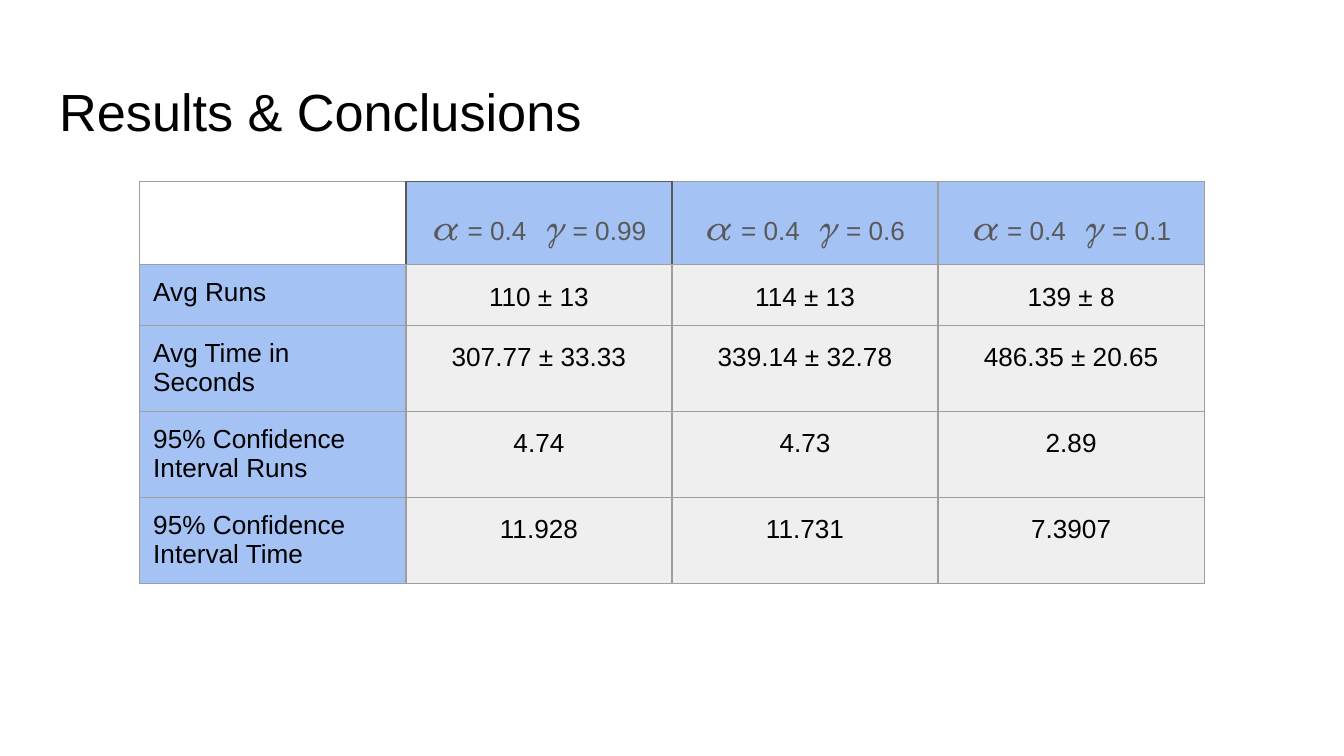
"""Builds a results slide with a title and a bordered table."""
import pptx
import pptx.dml.color
import pptx.enum.text
import pptx.oxml
import pptx.oxml.ns
import pptx.util

Inches = pptx.util.Inches
Pt = pptx.util.Pt
ALIGN = pptx.enum.text.PP_ALIGN
ANCHOR = pptx.enum.text.MSO_ANCHOR

TITLE = "Results & Conclusions"
GAMMAS = ["0.99", "0.6", "0.1"]
ROWS = [
    ("Avg Runs", "110 ± 13", "114 ± 13", "139 ± 8"),
    ("Avg Time in Seconds", "307.77 ± 33.33", "339.14 ± 32.78", "486.35 ± 20.65"),
    ("95% Confidence Interval Runs", "4.74", "4.73", "2.89"),
    ("95% Confidence Interval Time", "11.928", "11.731", "7.3907"),
]
HEIGHTS = [0.62, 0.45, 0.64, 0.64, 0.64]
WIDTH = 1.98
BLACK, DARK, GREY = "000000", "595959", "9E9E9E"
BLUE, PALE = "A4C2F4", "EFEFEF"


def color(text):
    return pptx.dml.color.RGBColor.from_string(text)


def style(run, size, shade, font="Arial", slant=False):
    run.font.size = Pt(size)
    run.font.name = font
    run.font.italic = slant
    run.font.color.rgb = color(shade)


def border(cell, shades):
    space = pptx.oxml.ns.nsdecls("a")
    for side, shade in zip("LRTB", shades):
        cell._tc.get_or_add_tcPr().append(pptx.oxml.parse_xml(
            f'<a:ln{side} {space} w="{Pt(0.75)}"><a:solidFill>'
            f'<a:srgbClr val="{shade}"/></a:solidFill></a:ln{side}>'))


def edges(row, col):
    if row:
        return [GREY] * 4
    return [DARK if col in (1, 2) else GREY, DARK if col in (0, 1) else GREY,
            DARK if col == 1 else GREY, GREY]


def header(para, gamma):
    parts = [("α ", True), ("= 0.4 ", False), (" γ ", True), (f"= {gamma}", False)]
    for text, symbol in parts:
        run = para.add_run()
        run.text = text
        if symbol:
            style(run, 18, DARK, "TeX Gyre Schola", True)
        else:
            style(run, 14, DARK)


def inset(item):
    item.margin_left = item.margin_right = Inches(0.1)
    item.margin_top = item.margin_bottom = Inches(0.1)
    item.vertical_anchor = ANCHOR.TOP


def fill(cell, row, col):
    inset(cell)
    border(cell, edges(row, col))
    para = cell.text_frame.paragraphs[0]
    if row == col == 0:
        cell.fill.background()
        return
    cell.fill.solid()
    cell.fill.fore_color.rgb = color(PALE if row and col else BLUE)
    if col:
        para.alignment = ALIGN.CENTER
        para.line_spacing = 1.15
    if row:
        para.text = ROWS[row - 1][col]
        style(para.runs[0], 14, BLACK)
    else:
        header(para, GAMMAS[col - 1])


def main():
    deck = pptx.Presentation()
    deck.slide_width = Inches(10)
    deck.slide_height = deck.slide_width * 9 // 16
    slide = deck.slides.add_slide(deck.slide_layouts[5])

    title = slide.shapes.title
    title.left, title.top = Inches(0.34), Inches(0.49)
    title.width, title.height = Inches(9.32), Inches(0.63)
    frame = title.text_frame
    frame.text = TITLE
    inset(frame)
    frame.auto_size = pptx.enum.text.MSO_AUTO_SIZE.NONE
    frame.paragraphs[0].alignment = ALIGN.LEFT
    style(frame.paragraphs[0].runs[0], 28, BLACK)

    count = len(GAMMAS) + 1
    table = slide.shapes.add_table(
        len(HEIGHTS), count, Inches(1.04), Inches(1.35),
        Inches(WIDTH * count), Inches(sum(HEIGHTS))).table
    table.first_row = table.horz_banding = False
    for column in table.columns:
        column.width = Inches(WIDTH)
    for row, height in enumerate(HEIGHTS):
        table.rows[row].height = Inches(height)
        for col in range(count):
            fill(table.cell(row, col), row, col)
    deck.save("out.pptx")


if __name__ == "__main__":
    main()
